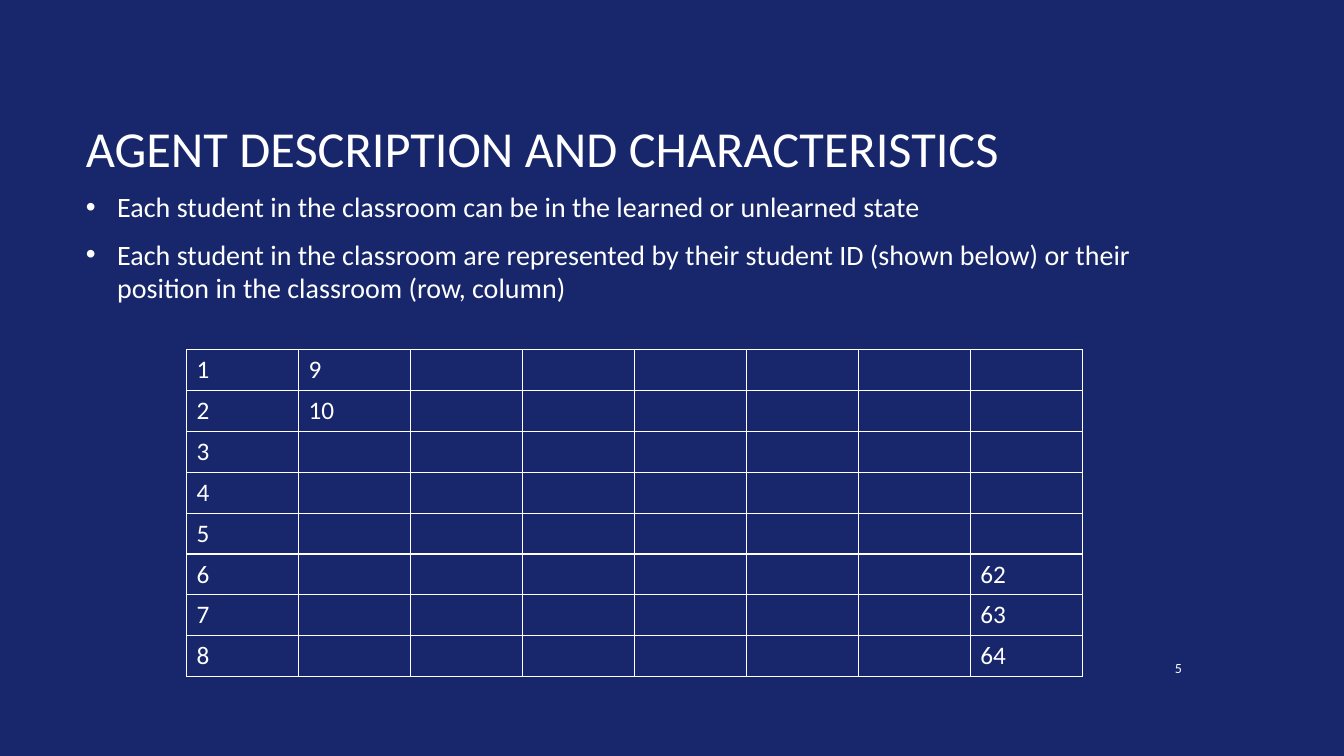
from lxml import etree
from pptx import Presentation
from pptx.dml.color import RGBColor
from pptx.enum.text import MSO_ANCHOR, MSO_AUTO_SIZE, PP_ALIGN
from pptx.oxml.ns import qn
from pptx.util import Cm, Pt

NAVY = RGBColor(0x18, 0x27, 0x6C)
WHITE = RGBColor(0xFF, 0xFF, 0xFF)
FONT = "Calibri"
LEFT = PP_ALIGN.LEFT
RIGHT = PP_ALIGN.RIGHT
TOP = MSO_ANCHOR.TOP
MIDDLE = MSO_ANCHOR.MIDDLE
NO_AUTOFIT = MSO_AUTO_SIZE.NONE

TITLE_BOX = (1.91, 1.7, 28.14, 4.04)
BODY_BOX = (1.91, 4.6, 28.14, 4.47)
TABLE_BOX = (4.7, 8.81, 22.58, 8.23)
NUMBER_BOX = (28.52, 16.31, 1.52, 1.04)

TITLE = "AGENT DESCRIPTION AND CHARACTERISTICS"
POINTS = (
    "Each student in the classroom can be in the learned or unlearned state",
    "Each student in the classroom are represented by their student ID "
    "(shown below) or their position in the classroom (row, column)",
)
SEATS_PER_SIDE = 8
LAST_OPENING_ID = 10
FIRST_CLOSING_ID = 62


def place(shape, box):
    shape.left, shape.top, shape.width, shape.height = map(Cm, box)
    shape.text_frame.word_wrap = True
    shape.text_frame.auto_size = NO_AUTOFIT


def format_paragraph(paragraph, size, alignment=LEFT):
    paragraph.alignment = alignment
    paragraph.space_before = Pt(0)
    for run in paragraph.runs:
        run.font.name = FONT
        run.font.size = Pt(size)
        run.font.color.rgb = WHITE


def add_bullet(paragraph):
    properties = paragraph._p.get_or_add_pPr()
    indent = Cm(0.79)
    properties.set("marL", str(indent))
    properties.set("indent", str(-indent))
    color = etree.SubElement(properties, qn("a:buClr"))
    etree.SubElement(color, qn("a:srgbClr"), val=str(WHITE))
    etree.SubElement(properties, qn("a:buFont"), typeface="Arial")
    etree.SubElement(properties, qn("a:buChar"), char="•")


def fill_title(slide, box):
    title = slide.shapes.title
    place(title, box)
    title.text_frame.text = TITLE
    title.text_frame.vertical_anchor = MIDDLE
    format_paragraph(title.text_frame.paragraphs[0], 36)


def fill_body(slide, box):
    body = slide.placeholders[1]
    place(body, box)
    text_frame = body.text_frame
    text_frame.vertical_anchor = TOP
    text_frame.margin_top = Cm(0.18)
    text_frame.text = "\n".join(POINTS)
    for paragraph in text_frame.paragraphs:
        format_paragraph(paragraph, 20)
        paragraph.space_after = Pt(10)
        add_bullet(paragraph)


def add_borders(cell):
    properties = cell._tc.get_or_add_tcPr()
    for position, side in enumerate(("lnL", "lnR", "lnT", "lnB")):
        line = etree.Element(qn(f"a:{side}"), w=str(Pt(1)))
        fill = etree.SubElement(line, qn("a:solidFill"))
        etree.SubElement(fill, qn("a:srgbClr"), val=str(WHITE))
        properties.insert(position, line)


def add_classroom(slide, box):
    left, top, width, height = box
    table = slide.shapes.add_table(
        SEATS_PER_SIDE, SEATS_PER_SIDE, Cm(left), Cm(top), Cm(width), Cm(height)
    ).table
    table.first_row = False
    table.horz_banding = False
    for column in range(SEATS_PER_SIDE):
        for row in range(SEATS_PER_SIDE):
            cell = table.cell(row, column)
            cell.fill.background()
            add_borders(cell)
            student_id = column * SEATS_PER_SIDE + row + 1
            if student_id <= LAST_OPENING_ID or student_id >= FIRST_CLOSING_ID:
                cell.text_frame.text = str(student_id)
                format_paragraph(cell.text_frame.paragraphs[0], 18)


def add_slide_number(slide, box):
    number = slide.shapes.add_textbox(*map(Cm, box))
    place(number, box)
    number.text_frame.text = "5"
    number.text_frame.vertical_anchor = MIDDLE
    format_paragraph(number.text_frame.paragraphs[0], 10, RIGHT)


def main():
    presentation = Presentation()
    presentation.slide_width = Cm(33.87)
    presentation.slide_height = Cm(19.05)
    slide = presentation.slides.add_slide(presentation.slide_layouts[1])
    slide.background.fill.solid()
    slide.background.fill.fore_color.rgb = NAVY
    fill_title(slide, TITLE_BOX)
    fill_body(slide, BODY_BOX)
    add_classroom(slide, TABLE_BOX)
    add_slide_number(slide, NUMBER_BOX)
    presentation.save("out.pptx")


if __name__ == "__main__":
    main()
